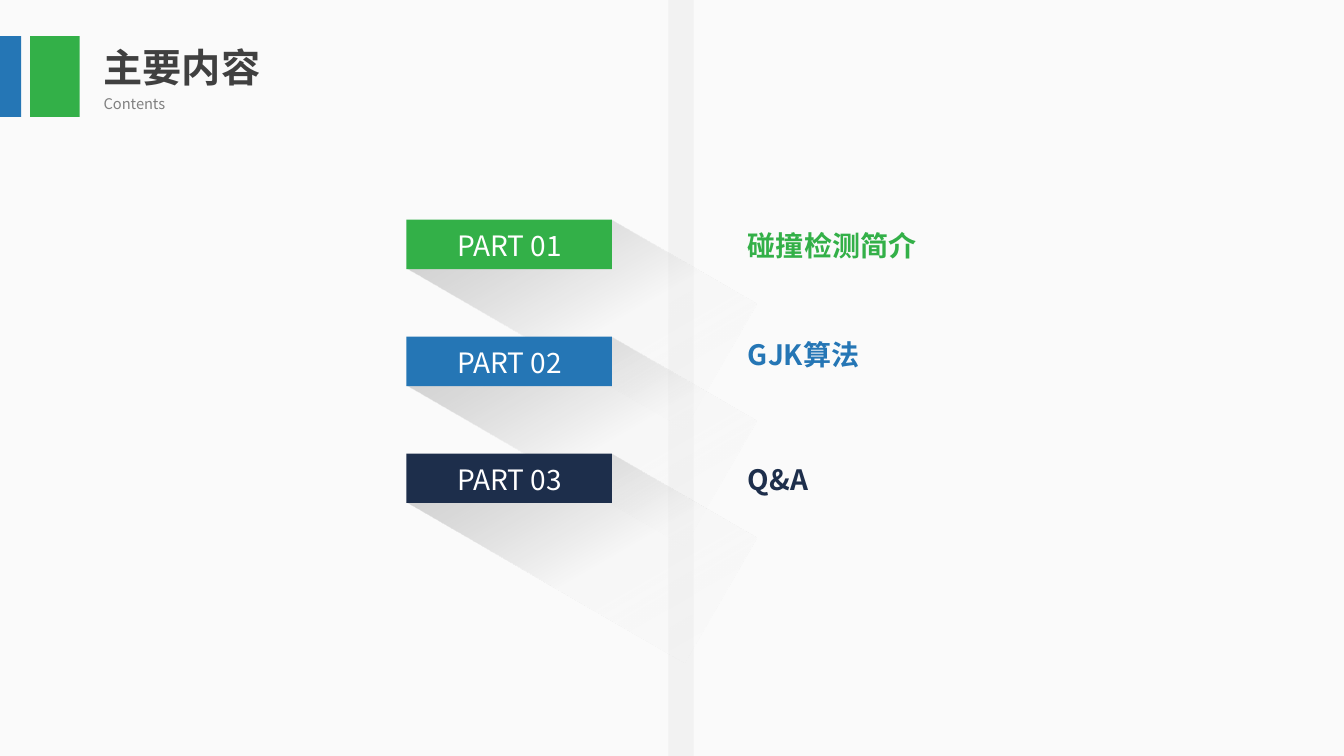
from lxml import etree
from pptx import Presentation
from pptx.dml.color import RGBColor
from pptx.enum.shapes import MSO_SHAPE
from pptx.enum.text import MSO_AUTO_SIZE, PP_ALIGN
from pptx.oxml.ns import qn
from pptx.util import Inches, Pt

RECTANGLE = MSO_SHAPE.RECTANGLE
FIT_SHAPE = MSO_AUTO_SIZE.SHAPE_TO_FIT_TEXT
LEFT, CENTER = PP_ALIGN.LEFT, PP_ALIGN.CENTER

FONT = "Noto Sans CJK SC"
PAPER = RGBColor(0xFA, 0xFA, 0xFA)
STRIPE = RGBColor(0xF2, 0xF2, 0xF2)
GREEN = RGBColor(0x33, 0xB0, 0x48)
BLUE = RGBColor(0x25, 0x76, 0xB5)
NAVY = RGBColor(0x1D, 0x2E, 0x4B)
DARK = RGBColor(0x40, 0x40, 0x40)
GRAY = RGBColor(0x80, 0x80, 0x80)
WHITE = RGBColor(0xFF, 0xFF, 0xFF)
BLACK = RGBColor(0, 0, 0)

# Long shadow: position %, colour, opacity %
SHADOW_STOPS = [(0, BLACK, 20), (61, STRIPE, 34), (100, STRIPE, 0)]
SHADOW_OUTLINE = [(0, 1.43), (1.53, 0), (3.18, 0), (3.18, 1.43)]
SHADOW_TURN = 30

# Label, heading, colour, heading offset from the top of the tag
PARTS = [
    ("PART 01", "碰撞检测简介", GREEN, 0.04),
    ("PART 02", "GJK算法", BLUE, -0.04),
    ("PART 03", "Q&A", NAVY, 0.04),
]
PART_STEP = 1.16


def add_block(page, left, top, width, height, color):
    block = page.shapes.add_shape(
        RECTANGLE, Inches(left), Inches(top), Inches(width), Inches(height))
    block.shadow.inherit = False
    block.fill.solid()
    block.fill.fore_color.rgb = color
    block.line.fill.background()


def add_text(page, left, top, width, height, text, color, size,
             bold=False, align=LEFT, spacing=1.0):
    box = page.shapes.add_textbox(
        Inches(left), Inches(top), Inches(width), Inches(height))
    box.text_frame.word_wrap = True
    box.text_frame.auto_size = FIT_SHAPE
    para = box.text_frame.paragraphs[0]
    para.alignment = align
    para.line_spacing = spacing
    span = para.add_run()
    span.text = text
    for name, value in {"name": FONT, "size": Pt(size), "bold": bold}.items():
        setattr(span.font, name, value)
    span.font.color.rgb = color
    # East Asian typeface
    etree.SubElement(span.font._element, qn("a:ea"), typeface=FONT)


def add_long_shadow(page, left, top):
    points = [(Inches(left + x), Inches(top + y)) for x, y in SHADOW_OUTLINE]
    builder = page.shapes.build_freeform(*points[0])
    builder.add_line_segments(points[1:], close=True)
    shape = builder.convert_to_shape()
    shape.shadow.inherit = False
    shape.line.fill.background()
    shape.rotation = SHADOW_TURN

    # Gradient with transparency
    shape.fill.gradient()
    gradient = shape._element.spPr.find(qn("a:gradFill"))
    gradient.set("rotWithShape", "1")
    for child in list(gradient):
        gradient.remove(child)
    stops = etree.SubElement(gradient, qn("a:gsLst"))
    for position, color, opacity in SHADOW_STOPS:
        stop = etree.SubElement(stops, qn("a:gs"), pos=str(position * 1000))
        tint = etree.SubElement(stop, qn("a:srgbClr"), val=str(color))
        etree.SubElement(tint, qn("a:alpha"), val=str(opacity * 1000))
    etree.SubElement(gradient, qn("a:lin"), ang=str(30 * 60000), scaled="0")


def add_header(page, left, top):
    add_text(page, left + 0.93, top + 0.02, 3.6, 0.57, "主要内容", DARK, 28, bold=True)
    add_text(page, left + 0.93, top + 0.5, 5.34, 0.3, "Contents", GRAY, 10.5, spacing=1.2)
    add_block(page, left + 0.3, top, 0.49, 0.8, GREEN)
    add_block(page, left, top, 0.21, 0.8, BLUE)


def add_contents(page, left, top):
    tops = [top + PART_STEP * index for index in range(len(PARTS))]
    # Shadows lie beneath every tag
    for part_top in tops:
        add_long_shadow(page, left + 0.15, part_top - 0.06)
    for part_top, (label, heading, color, offset) in zip(tops, PARTS):
        add_block(page, left, part_top, 2.04, 0.49, color)
        add_text(page, left + 0.33, part_top + 0.04, 1.39, 0.44, label, WHITE, 20, align=CENTER)
        add_text(page, left + 3.29, part_top + offset, 3.6, 0.44, heading, color, 20, bold=True)


def main():
    deck = Presentation()
    deck.slide_width, deck.slide_height = Inches(13.33), Inches(7.5)
    page = deck.slides.add_slide(deck.slide_layouts[6])
    page.background.fill.solid()
    page.background.fill.fore_color.rgb = PAPER

    add_block(page, 6.63, 0, 0.25, 7.5, STRIPE)
    add_header(page, 0, 0.36)
    add_contents(page, 4.03, 2.18)
    deck.save("out.pptx")


if __name__ == "__main__":
    main()
